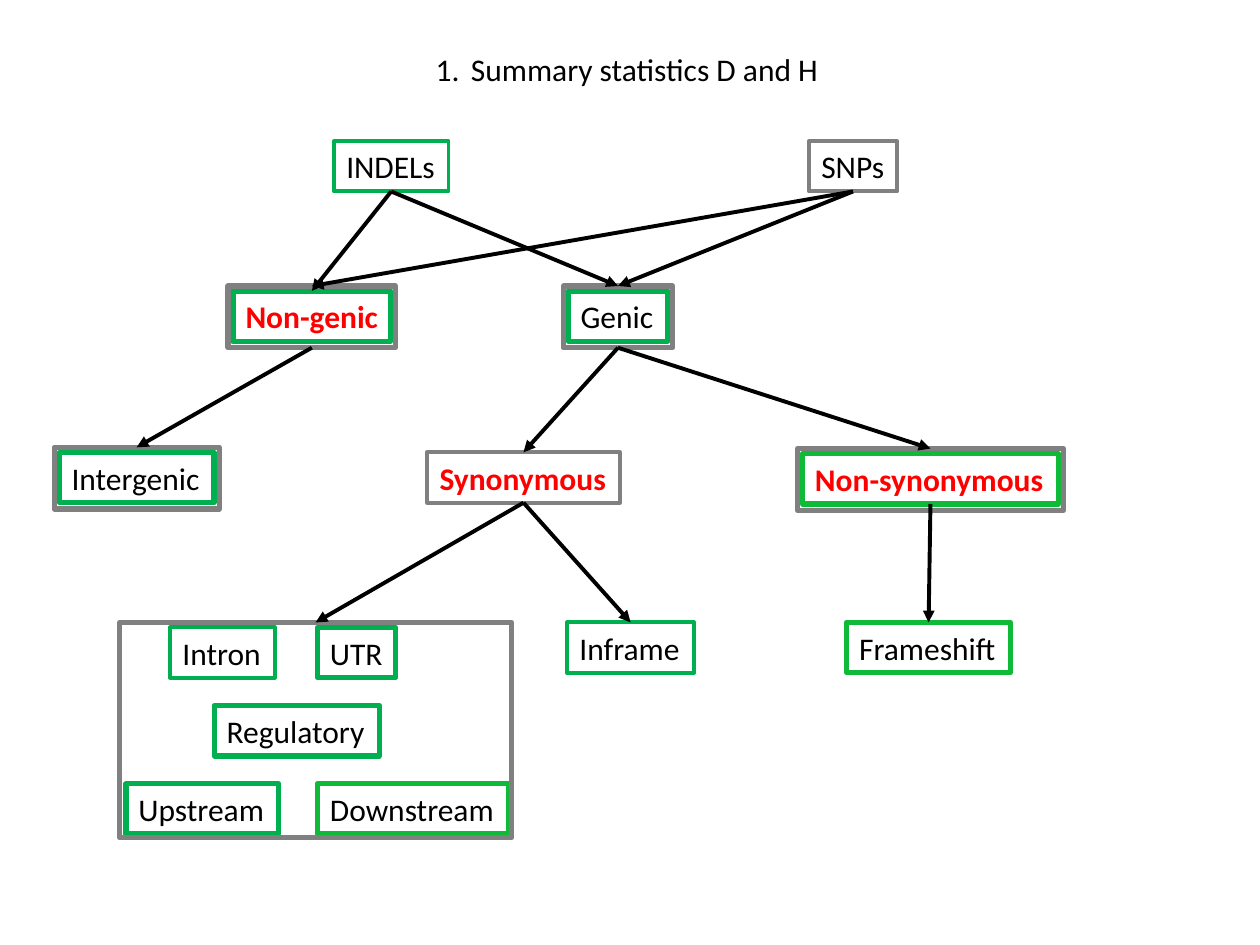
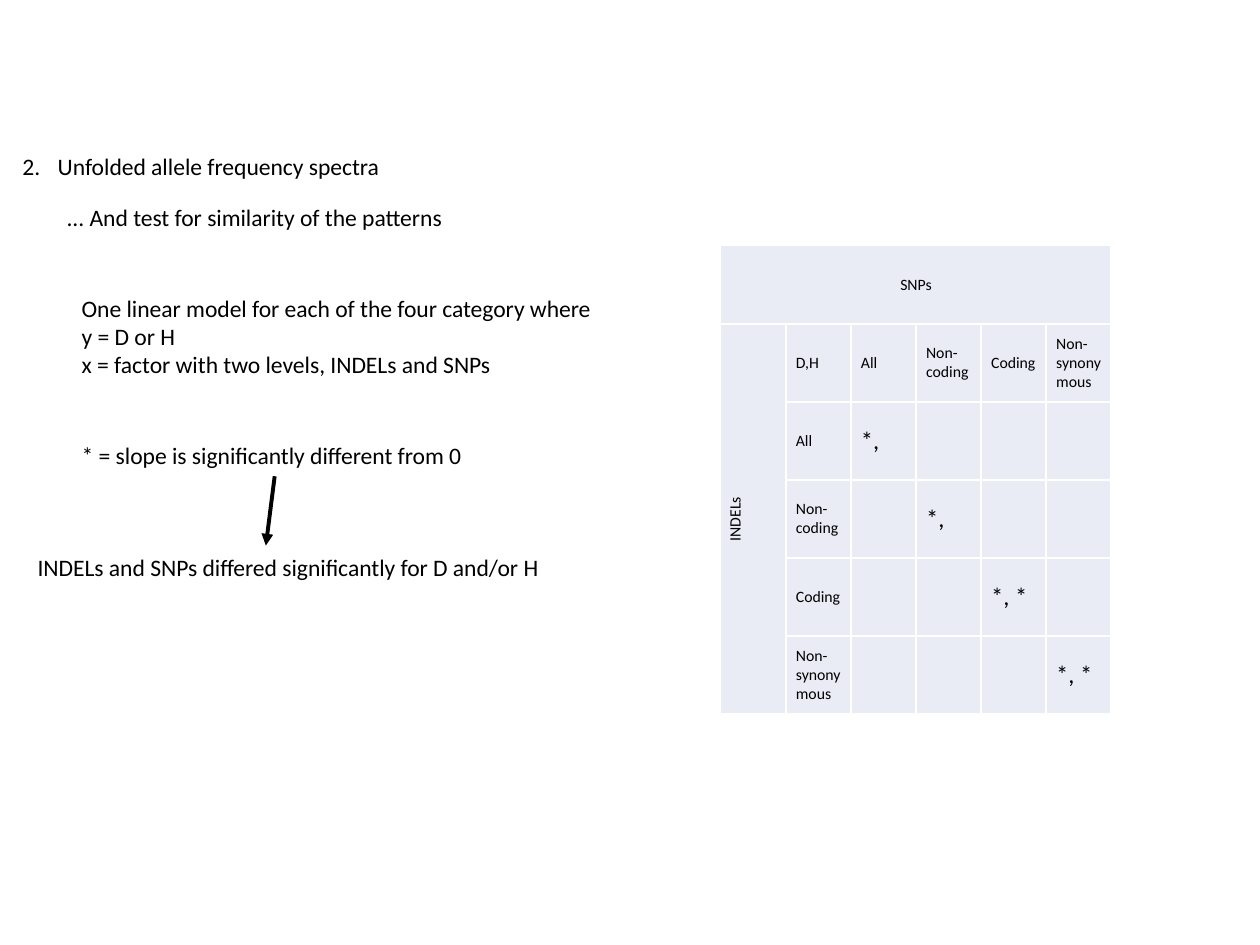
from dataclasses import dataclass

from lxml.etree import SubElement
from pptx import Presentation
from pptx.dml.color import RGBColor
from pptx.enum.shapes import MSO_CONNECTOR as Connector, MSO_SHAPE as Shape
from pptx.enum.text import MSO_ANCHOR as Anchor, MSO_AUTO_SIZE as AutoSize, PP_ALIGN as Align
from pptx.oxml.ns import qn
from pptx.util import Inches, Pt


@dataclass(frozen=True)
class Theme:
    font: str = "Calibri"
    text: str = "000000"
    accent: str = "FF0000"
    green: str = "00B050"
    bright_green: str = "0EBA38"
    grey: str = "808080"
    cell: str = "E9EBF5"
    border: str = "FFFFFF"
    label_size: float = 18
    body_size: float = 13.5
    cell_size: float = 9
    mark_size: float = 14
    thin: float = 2.25
    thick: float = 3


THEME = Theme()
BOTTOM, TOP = 2, 0
LABEL_HEIGHT = 0.4
FRAME_GAP = 0.04


@dataclass(frozen=True)
class Box:
    left: float
    top: float
    width: float
    height: float

    def inside(self, x, y, width, height):
        """Box whose place is counted from this box's corner."""
        return Box(self.left + x, self.top + y, width, height)

    def lengths(self):
        return [Inches(value) for value in (self.left, self.top, self.width, self.height)]


def set_values(target, values):
    for name, value in values.items():
        setattr(target, name, value)


def write(text_frame, lines, size, color=THEME.text, bold=False, align=Align.LEFT):
    text_frame.text = "\n".join(lines)
    for paragraph in text_frame.paragraphs:
        paragraph.alignment = align
        for run in paragraph.runs:
            set_values(run.font, {"name": THEME.font, "size": Pt(size), "bold": bold})
            run.font.color.rgb = RGBColor.from_string(color)


def fit_to_text(text_frame):
    set_values(text_frame, {"word_wrap": False, "auto_size": AutoSize.SHAPE_TO_FIT_TEXT,
                            "vertical_anchor": Anchor.TOP})


def add_text(slide, box, lines, size, number=None):
    """Plain text; a number turns its first paragraph into a list item."""
    shape = slide.shapes.add_textbox(*box.lengths())
    write(shape.text_frame, lines, size)
    fit_to_text(shape.text_frame)
    if number:
        properties = shape.text_frame.paragraphs[0]._p.get_or_add_pPr()
        indent = Inches(0.28)
        properties.set("marL", str(indent))
        properties.set("indent", str(-indent))
        SubElement(properties, qn("a:buFont"), typeface="+mj-lt")
        SubElement(properties, qn("a:buAutoNum"), type="arabicPeriod", startAt=str(number))


def add_outline(slide, box, color, weight):
    shape = slide.shapes.add_shape(Shape.RECTANGLE, *box.lengths())
    shape.shadow.inherit = False
    shape.fill.background()
    shape.line.color.rgb = RGBColor.from_string(color)
    shape.line.width = Pt(weight)
    return shape


def add_label(slide, box, text, color, weight, highlighted=False):
    shape = add_outline(slide, box, color, weight)
    write(shape.text_frame, [text], THEME.label_size,
          THEME.accent if highlighted else THEME.text, highlighted)
    fit_to_text(shape.text_frame)
    return shape


def add_frame(slide, box):
    """Grey outline drawn just outside a label's box."""
    around = box.inside(-FRAME_GAP, -FRAME_GAP, box.width + 2 * FRAME_GAP, box.height + 0.09)
    return add_outline(slide, around, THEME.grey, THEME.thick)


def add_arrow(slide, start=(0, 0), end=(0, 0)):
    points = [Inches(value) for value in (*start, *end)]
    connector = slide.shapes.add_connector(Connector.STRAIGHT, *points)
    connector.line.color.rgb = RGBColor.from_string(THEME.text)
    connector.line.width = Pt(THEME.thin)
    SubElement(connector.line._get_or_add_ln(), qn("a:tailEnd"), type="triangle")
    SubElement(connector._element.spPr, qn("a:effectLst"))
    return connector


def join(slide, upper, lower):
    connector = add_arrow(slide)
    connector.begin_connect(upper, BOTTOM)
    connector.end_connect(lower, TOP)


def add_noncoding_group(slide, box):
    row_step = 0.62
    members = [
        ("Intron", 0.4, 0, 0.83, THEME.green, THEME.thin),
        ("UTR", 1.57, 0, 0.62, THEME.green, THEME.thick),
        ("Regulatory", 0.75, 1, 1.31, THEME.green, THEME.thick),
        ("Upstream", 0.05, 2, 1.21, THEME.green, THEME.thick),
        ("Downstream", 1.57, 2, 1.52, THEME.bright_green, THEME.thick),
    ]
    for text, x, row, width, color, weight in members:
        place = box.inside(x, FRAME_GAP + row * row_step, width, LABEL_HEIGHT)
        add_label(slide, place, text, color, weight)
    return add_outline(slide, box, THEME.grey, THEME.thick)


def add_variant_tree(slide, box):
    green, bright, grey = THEME.green, THEME.bright_green, THEME.grey
    thin, thick = THEME.thin, THEME.thick
    # text, x, y, width, colour, weight, highlighted, framed
    labels = [
        ("INDELs", 2.25, 0, 0.91, green, thin, False, False),
        ("SNPs", 6.02, 0, 0.7, grey, thin, False, False),
        ("Non-genic", 1.45, 1.19, 1.25, green, thick, True, True),
        ("Genic", 4.11, 1.19, 0.79, green, thick, False, True),
        ("Intergenic", 0.07, 2.47, 1.23, green, thick, False, True),
        ("Synonymous", 2.99, 2.47, 1.53, grey, thin, True, False),
        ("Non-synonymous", 5.97, 2.48, 2.03, bright, thick, True, True),
        ("Inframe", 4.1, 3.82, 1.01, green, thin, False, False),
        ("Frameshift", 6.32, 3.82, 1.3, bright, thick, False, False),
    ]
    nodes, frames = {}, {}
    for text, x, y, width, color, weight, highlighted, framed in labels:
        place = box.inside(x, y, width, LABEL_HEIGHT)
        nodes[text] = add_label(slide, place, text, color, weight, highlighted)
        if framed:
            frames[text] = add_frame(slide, place)
    group = add_noncoding_group(slide, box.inside(0.55, 3.82, 3.11, 1.71))

    links = [
        (nodes["INDELs"], nodes["Non-genic"]),
        (nodes["INDELs"], frames["Genic"]),
        (nodes["SNPs"], frames["Non-genic"]),
        (nodes["SNPs"], frames["Genic"]),
        (frames["Non-genic"], frames["Intergenic"]),
        (frames["Genic"], nodes["Synonymous"]),
        (frames["Genic"], frames["Non-synonymous"]),
        (nodes["Synonymous"], group),
        (nodes["Synonymous"], nodes["Inframe"]),
        (nodes["Non-synonymous"], nodes["Frameshift"]),
    ]
    for upper, lower in links:
        join(slide, upper, lower)


def format_cell(cell):
    set_values(cell, {"vertical_anchor": Anchor.MIDDLE,
                      "margin_left": Inches(0.08), "margin_right": Inches(0.08),
                      "margin_top": Inches(0.04), "margin_bottom": Inches(0.04)})
    properties = cell._tc.get_or_add_tcPr()
    for side in ("lnL", "lnR", "lnT", "lnB"):
        line = SubElement(properties, qn(f"a:{side}"), w=str(Pt(1)))
        fill = SubElement(line, qn("a:solidFill"))
        SubElement(fill, qn("a:srgbClr"), val=THEME.border)
    cell.fill.solid()
    cell.fill.fore_color.rgb = RGBColor.from_string(THEME.cell)


def add_comparison_table(slide, box):
    categories = ["All", "Non-coding", "Coding", "Non-synonymous"]
    marks = ["*,", "*,", "*, *", "*, *"]
    count = len(categories) + 2
    table = slide.shapes.add_table(count, count, *box.lengths()).table
    set_values(table, {"first_row": False, "horz_banding": False})
    for column in table.columns:
        column.width = Inches(box.width / count)
    for row in table.rows:
        row.height = Inches(box.height / count)
        for cell in row.cells:
            format_cell(cell)

    top_head, side_head = table.cell(0, 0), table.cell(1, 0)
    top_head.merge(table.cell(0, count - 1))
    side_head.merge(table.cell(count - 1, 0))
    side_head._tc.get_or_add_tcPr().set("vert", "vert270")
    for cell, text in ((top_head, "SNPs"), (side_head, "INDELs")):
        write(cell.text_frame, [text], THEME.cell_size, align=Align.CENTER)

    write(table.cell(1, 1).text_frame, ["D,H"], THEME.cell_size)
    for index, (category, mark) in enumerate(zip(categories, marks), start=2):
        for cell in (table.cell(1, index), table.cell(index, 1)):
            write(cell.text_frame, [category], THEME.cell_size)
        write(table.cell(index, index).text_frame, [mark], THEME.mark_size)


def add_method_notes(slide, box):
    notes = [
        (0, 0, 3.08, 0.33, ["Unfolded allele frequency spectra"], 2),
        (0.35, 0.4, 3.23, 0.33, ["... And test for similarity of the patterns"], None),
        (0.47, 1.12, 4.31, 0.78, ["One linear model for each of the four category where",
                                  "y = D or H",
                                  "x = factor with two levels, INDELs and SNPs"], None),
        (0.47, 2.29, 3.26, 0.33, ["* = slope is significantly different from 0"], None),
        (0.12, 3.18, 4.24, 0.33,
         ["INDELs and SNPs differed significantly for D and/or H"], None),
    ]
    for x, y, width, height, lines, number in notes:
        add_text(slide, box.inside(x, y, width, height), lines, THEME.body_size, number)
    add_arrow(slide, (box.left + 2.1, box.top + 2.62), (box.left + 2.03, box.top + 3.17))


def main():
    presentation = Presentation()
    set_values(presentation, {"slide_width": Inches(10), "slide_height": Inches(7.5)})
    blank = presentation.slide_layouts[6]

    tree_slide = presentation.slides.add_slide(blank)
    add_variant_tree(tree_slide, Box(0.4, 1.12, 8.04, 5.53))
    add_text(tree_slide, Box(3.36, 0.35, 3.27, LABEL_HEIGHT),
             ["Summary statistics D and H"], THEME.label_size, number=1)

    spectra_slide = presentation.slides.add_slide(blank)
    add_comparison_table(spectra_slide, Box(5.72, 1.95, 3.1, 3.72))
    add_method_notes(spectra_slide, Box(0.08, 1.16, 4.78, 3.51))

    presentation.save("out.pptx")


if __name__ == "__main__":
    main()
